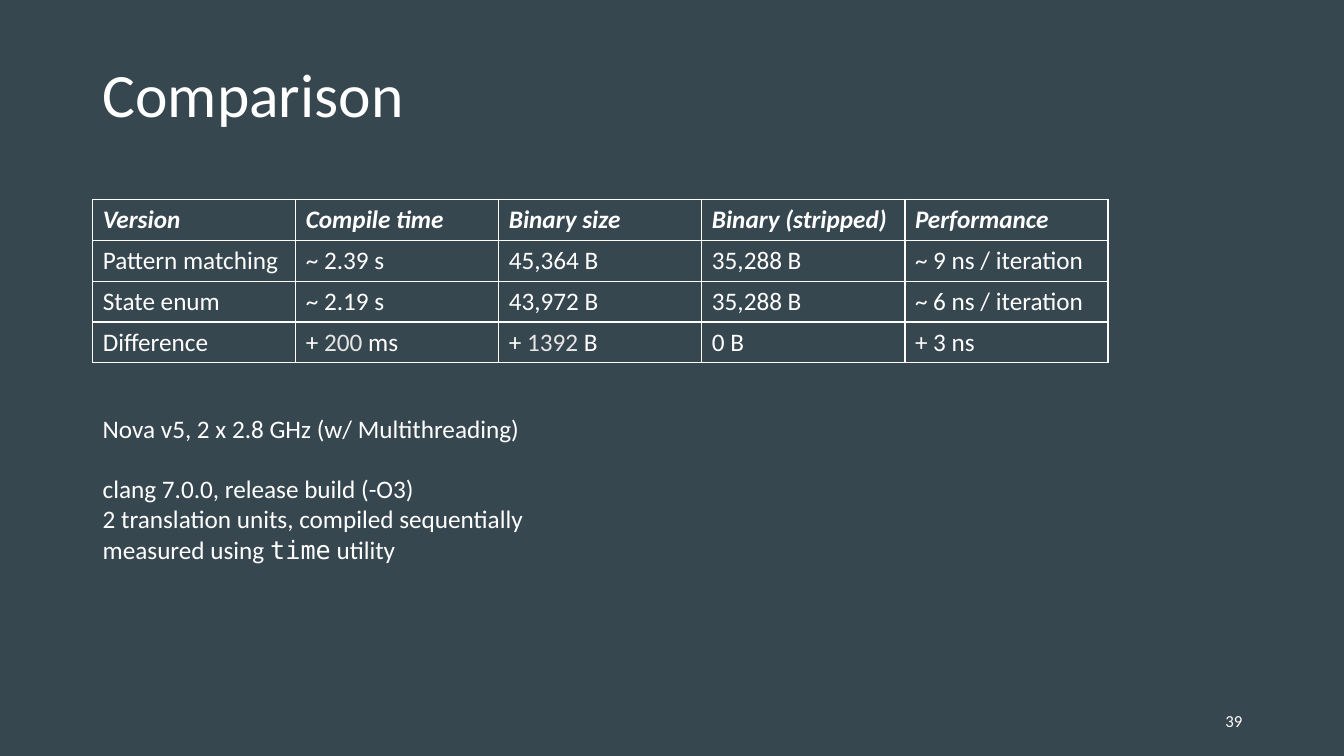
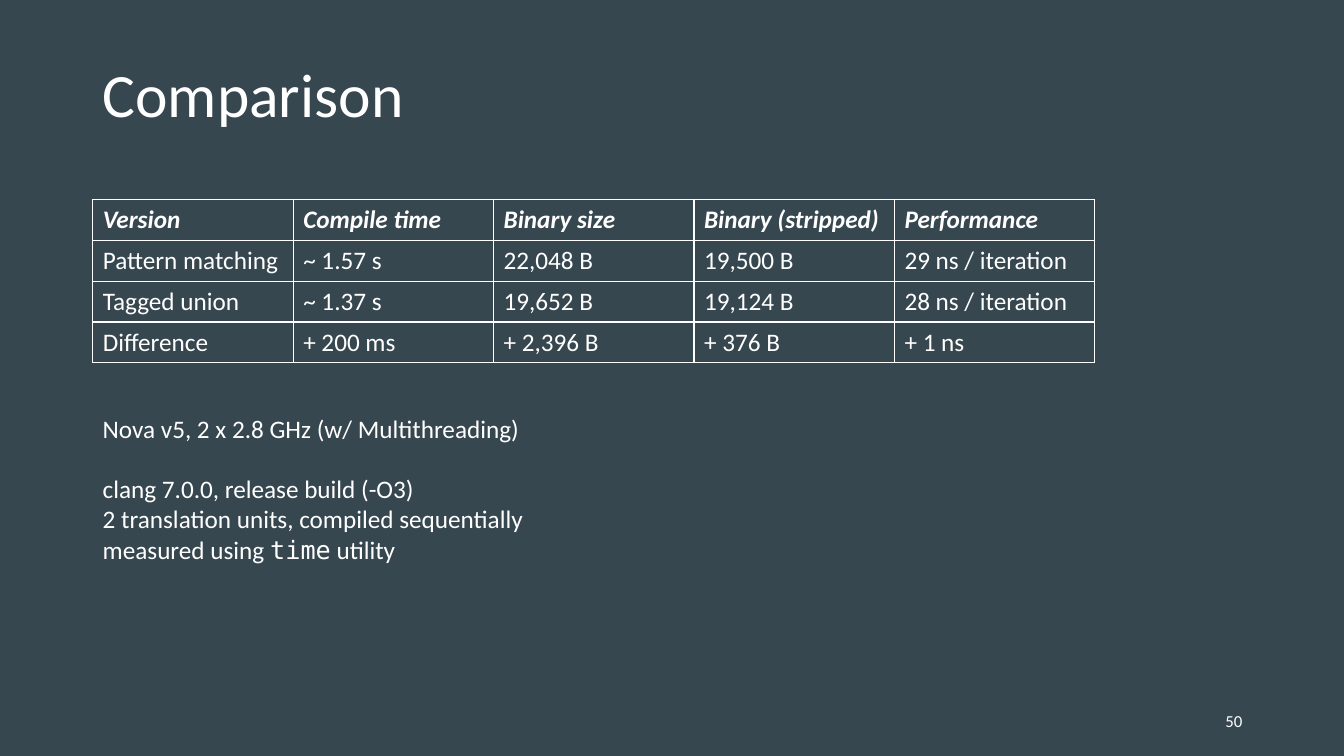
from lxml import etree
from pptx import Presentation
from pptx.dml.color import RGBColor
from pptx.enum.text import MSO_ANCHOR, PP_ALIGN
from pptx.oxml.ns import qn
from pptx.util import Inches, Pt

MIDDLE, TOP = MSO_ANCHOR.MIDDLE, MSO_ANCHOR.TOP
RIGHT = PP_ALIGN.RIGHT
SLATE, WHITE, PALE = "37474F", "FFFFFF", "E7E6E6"
SANS, MONO = "Calibri", "DejaVu Sans Mono"
LEFT, ROW = 0.92, 0.405

HEAD = ["Version", "Compile time", "Binary size", "Binary (stripped)", "Performance"]
ENUM = [
    HEAD,
    ["Pattern matching", "~ 2.39 s", "45,364 B", "35,288 B", "~ 9 ns / iteration"],
    ["State enum", "~ 2.19 s", "43,972 B", "35,288 B", "~ 6 ns / iteration"],
    ["Difference", ("+ ", "200 ", "ms"), ("+ ", "1392 ", "B"), "0 B", "+ 3 ns"],
]
UNION = [
    HEAD,
    ["Pattern matching", "~ 1.57 s", "22,048 B", "19,500 B", "29 ns / iteration"],
    ["Tagged union", "~ 1.37 s", "19,652 B", "19,124 B", "28 ns / iteration"],
    ["Difference", "+ 200 ms", "+ 2,396 B", "+ 376 B", "+ 1 ns"],
]


def color(code):
    return RGBColor.from_string(code)


def add_run(para, text, size=18, face=SANS, ink=WHITE, strong=False):
    run = para.add_run()
    run.text = text
    font = run.font
    font.size, font.name = Pt(size), face
    font.bold = font.italic = strong
    font.color.rgb = color(ink)


def add_box(slide, box, anchor=TOP, wrap=True):
    frame = slide.shapes.add_textbox(*map(Inches, box)).text_frame
    frame.word_wrap = wrap
    frame.vertical_anchor = anchor
    return frame


def add_title(slide, text, box):
    para = add_box(slide, box, MIDDLE).paragraphs[0]
    para.line_spacing = 0.9
    add_run(para, text, 44)


def add_number(slide, number, box):
    para = add_box(slide, box, MIDDLE).paragraphs[0]
    para.alignment = RIGHT
    add_run(para, str(number), 12)


def style_cell(cell):
    """Clear the fill and draw a thin white border on all sides."""
    cell.fill.background()
    props = cell._tc.get_or_add_tcPr()
    for place, side in enumerate("LRTB"):
        line = etree.Element(qn(f"a:ln{side}"), w=str(Pt(1)))
        fill = etree.SubElement(line, qn("a:solidFill"))
        etree.SubElement(fill, qn("a:srgbClr"), val=WHITE)
        props.insert(place, line)


def add_grid(slide, rows, box):
    """Place equal columns and rows; a tuple cell has a paler middle run."""
    count = len(rows[0])
    table = slide.shapes.add_table(len(rows), count, *map(Inches, box)).table
    table.first_row = table.horz_banding = False
    for row, texts in enumerate(rows):
        for col, text in enumerate(texts):
            cell = table.cell(row, col)
            style_cell(cell)
            para = cell.text_frame.paragraphs[0]
            parts = text if isinstance(text, tuple) else (text,)
            for part, ink in zip(parts, (WHITE, PALE, WHITE)):
                add_run(para, part, ink=ink, strong=row == 0)


def add_setup(slide, box):
    frame = add_box(slide, box, wrap=False)
    lines = [
        ["Nova v5, 2 x 2.8 GHz (w/ Multithreading)"],
        ["clang 7.0.0, release build (-O3)"],
        ["2 translation units, compiled sequentially"],
        ["measured using ", "time", " utility"],
    ]
    for index, parts in enumerate(lines):
        para = frame.add_paragraph() if index else frame.paragraphs[0]
        if index == 1:
            para.space_before = Pt(21.5)
        for part in parts:
            add_run(para, part, face=MONO if part == "time" else SANS)


def add_slide(deck, number, rows, width):
    slide = deck.slides.add_slide(deck.slide_layouts[6])
    add_title(slide, "Comparison", (LEFT, 0.4, 11.5, 1.13))
    add_number(slide, number, (9.42, 6.95, 3, 0.4))
    add_grid(slide, rows, (LEFT, 1.98, width, ROW * len(rows)))
    add_setup(slide, (LEFT, 4.05, 4.42, 1.62))


def main():
    deck = Presentation()
    deck.slide_width, deck.slide_height = Inches(13.33), Inches(7.5)
    back = deck.slide_master.background.fill
    back.solid()
    back.fore_color.rgb = color(SLATE)
    add_slide(deck, 39, ENUM, 10.07)
    add_slide(deck, 50, UNION, 9.94)
    deck.save("out.pptx")


if __name__ == "__main__":
    main()
